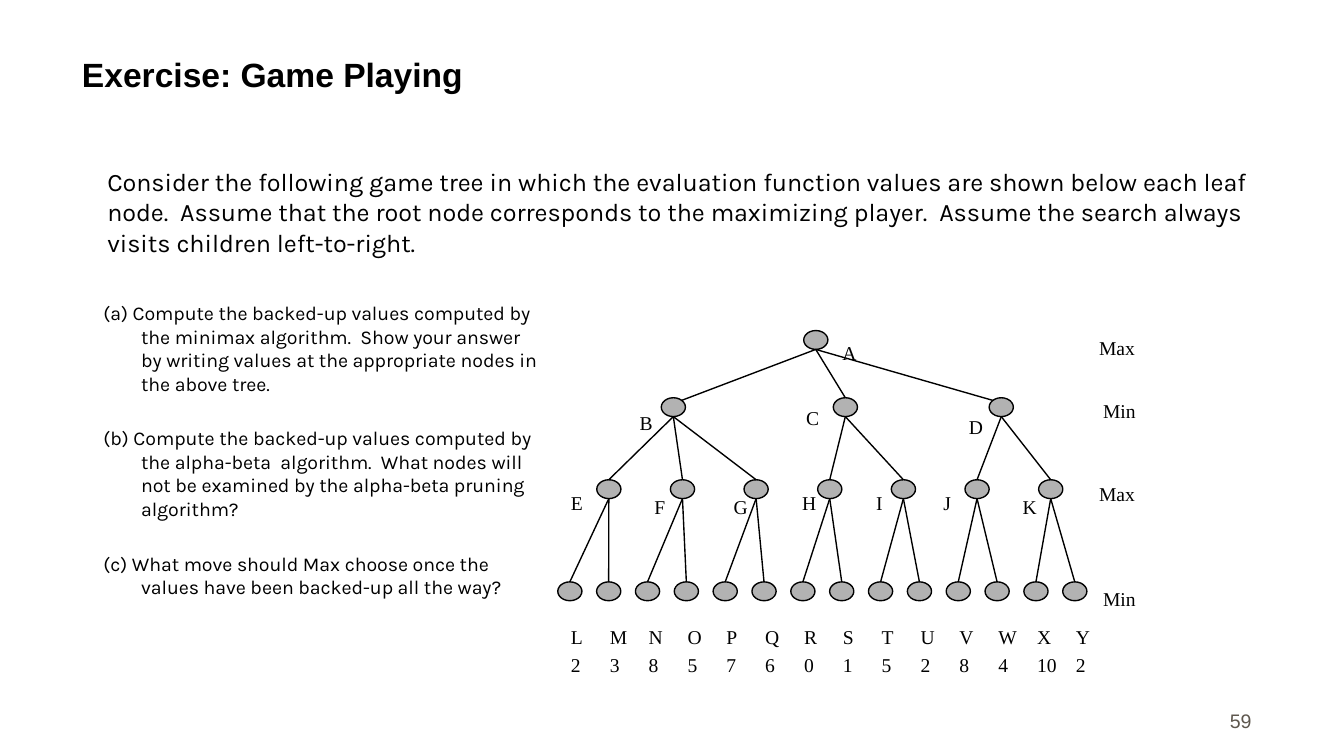
from lxml.etree import SubElement
from pptx import Presentation
from pptx.dml.color import RGBColor
from pptx.enum.shapes import MSO_CONNECTOR, MSO_SHAPE
from pptx.enum.text import MSO_ANCHOR, MSO_AUTO_SIZE, PP_ALIGN
from pptx.oxml.ns import qn
from pptx.util import Inches, Pt

BLACK = RGBColor(0x00, 0x00, 0x00)
NODE_GRAY = RGBColor(0xB2, 0xB2, 0xB2)
NUMBER_GRAY = RGBColor(0x5E, 0x57, 0x4E)

TITLE = {"name": "Arial", "size": Pt(18), "bold": True}
INTRO = {"name": "Karla", "size": Pt(13.5)}
QUESTION = {"name": "Karla", "size": Pt(10.5)}
TREE_LABEL = {"name": "Times New Roman", "size": Pt(10.5)}
PAGE_NUMBER = {"name": "Arial", "size": Pt(10.5)}

# The grid has square cells of a tenth of an inch; all lengths below are in cells.
COLUMNS, ROWS = 100, 56.25
INDENT = 2.8
NODE_WIDTH, NODE_HEIGHT = 1.8, 1.4
LABEL_HEIGHT = 2.8

INTRO_TEXT = (
    "Consider the following game tree in which the evaluation function values are "
    "shown below each leaf node.  Assume that the root node corresponds to the "
    "maximizing player.  Assume the search always visits children left-to-right."
)
QUESTIONS = [
    "(a) Compute the backed-up values computed by the minimax algorithm.  Show your "
    "answer by writing values at the appropriate nodes in the above tree.",
    "(b) Compute the backed-up values computed by the alpha-beta  algorithm.  What "
    "nodes will not be examined by the alpha-beta pruning algorithm?",
    "(c) What move should Max choose once the values have been backed-up all the way?",
]

LEVELS = ["A", "BCD", "EFGHIJK", "LMNOPQRSTUVWXY"]
LEVEL_ROWS = [24.6, 29.6, 35.7, 43.3]
CHILDREN = {
    "A": "BCD", "B": "EFG", "C": "HI", "D": "JK", "E": "LM", "F": "NO",
    "G": "PQ", "H": "RS", "I": "TU", "J": "VW", "K": "XY",
}
LEAF_VALUES = [2, 3, 8, 5, 7, 6, 0, 1, 5, 2, 8, 4, 10, 2]
LEAF_LABEL_ROW, VALUE_ROW = 46, 48.1
INNER_LABELS = {
    "A": (61.7, 24.9), "B": (46.6, 30.1), "C": (59, 29.7), "D": (71.1, 30.4),
    "E": (41.5, 36), "F": (47.7, 36.3), "G": (53.6, 36.3), "H": (58.7, 36),
    "I": (64.2, 36), "J": (69.2, 36), "K": (75.1, 36.3),
}
PLAYERS = [("Max", 80.8, 24.5), ("Min", 81.1, 29.2),
           ("Max", 80.8, 35.4), ("Min", 81.1, 43.2)]


def cells(count):
    return Inches(count / 10)


class SlideBuilder:
    def __init__(self, presentation):
        self.slide = presentation.slides.add_slide(presentation.slide_layouts[1])
        self.shapes = self.slide.shapes

    def format_text(self, frame, paragraphs, style, color=BLACK,
                    align=PP_ALIGN.LEFT, anchor=MSO_ANCHOR.TOP,
                    margin=0, first_line=0, gap=0):
        settings = {"word_wrap": True, "auto_size": MSO_AUTO_SIZE.NONE,
                    "vertical_anchor": anchor}
        for key, value in settings.items():
            setattr(frame, key, value)
        for index, content in enumerate(paragraphs):
            paragraph = frame.add_paragraph() if index else frame.paragraphs[0]
            paragraph.alignment = align
            paragraph.space_before = Pt(gap if index else 0)
            properties = paragraph._p.get_or_add_pPr()
            properties.set("marL", str(cells(margin)))
            properties.set("indent", str(cells(first_line)))
            SubElement(properties, qn("a:buNone"))
            run = paragraph.add_run()
            run.text = content
            for key, value in style.items():
                setattr(run.font, key, value)
            run.font.color.rgb = color

    def placeholder(self, index, box, paragraphs, style, **layout):
        holder = self.slide.placeholders[index]
        for key, value in zip(("left", "top", "width", "height"), box):
            setattr(holder, key, cells(value))
        self.format_text(holder.text_frame, paragraphs, style, **layout)

    def text(self, box, content, style, **layout):
        textbox = self.shapes.add_textbox(*map(cells, box))
        self.format_text(textbox.text_frame, [content], style, **layout)

    def tree_label(self, content, column, row):
        width = 2.3 + 0.8 * len(content)
        self.text((column, row, width, LABEL_HEIGHT), content, TREE_LABEL)

    def node(self, center, row):
        box = (center - NODE_WIDTH / 2, row, NODE_WIDTH, NODE_HEIGHT)
        ellipse = self.shapes.add_shape(MSO_SHAPE.OVAL, *map(cells, box))
        ellipse.shadow.inherit = False
        ellipse.fill.solid()
        ellipse.fill.fore_color.rgb = NODE_GRAY
        self.outline(ellipse)

    def edge(self, start, end):
        line = self.shapes.add_connector(
            MSO_CONNECTOR.STRAIGHT, *map(cells, (*start, *end)))
        self.outline(line)
        SubElement(line._element.spPr, qn("a:effectLst"))

    def outline(self, shape):
        shape.line.color.rgb = BLACK
        shape.line.width = Pt(0.75)


def node_positions():
    """Map each node's letter to its center column and top row."""
    centers = [
        [60.7],
        [50.1, 62.9, 74.5],
        [45.3 + 5.48 * i for i in range(len(LEVELS[2]))],
        [42.4 + 2.89 * i for i in range(len(LEVELS[3]))],
    ]
    return {letter: (center, row)
            for letters, columns, row in zip(LEVELS, centers, LEVEL_ROWS)
            for letter, center in zip(letters, columns)}


def draw_tree(builder):
    positions = node_positions()
    for center, row in positions.values():
        builder.node(center, row)

    # The long edges from the root meet the shoulder of the outer nodes.
    shoulders = {"B": (0.6, 0.2), "D": (-0.6, 0.2)}
    for parent, children in CHILDREN.items():
        center, row = positions[parent]
        for child in children:
            child_center, child_row = positions[child]
            across, down = shoulders.get(child, (0, 0))
            builder.edge((center, row + NODE_HEIGHT),
                         (child_center + across, child_row + down))

    for letter, (column, row) in INNER_LABELS.items():
        builder.tree_label(letter, column, row)
    for leaf, value in zip(LEVELS[-1], LEAF_VALUES):
        column = positions[leaf][0] - NODE_WIDTH / 2
        builder.tree_label(leaf, column, LEAF_LABEL_ROW)
        builder.tree_label(str(value), column, VALUE_ROW)
    for player, column, row in PLAYERS:
        builder.tree_label(player, column, row)


def main():
    presentation = Presentation()
    presentation.slide_width = cells(COLUMNS)
    presentation.slide_height = cells(ROWS)
    builder = SlideBuilder(presentation)
    builder.placeholder(0, (5.1, 1.9, 89.2, 5.6), ["Exercise: Game Playing"],
                        TITLE, anchor=MSO_ANCHOR.BOTTOM)
    builder.placeholder(1, (6.7, 21.9, 34.6, 27.2), QUESTIONS, QUESTION,
                        margin=INDENT, first_line=-INDENT, gap=16.8)
    draw_tree(builder)
    builder.text((4.2, 11.9, 93.3, 10.6), INTRO_TEXT, INTRO, margin=INDENT)
    builder.text((73.3, 51.2, 20.8, 3.8), "59", PAGE_NUMBER, color=NUMBER_GRAY,
                 align=PP_ALIGN.RIGHT, anchor=MSO_ANCHOR.BOTTOM)
    presentation.save("out.pptx")


if __name__ == "__main__":
    main()
